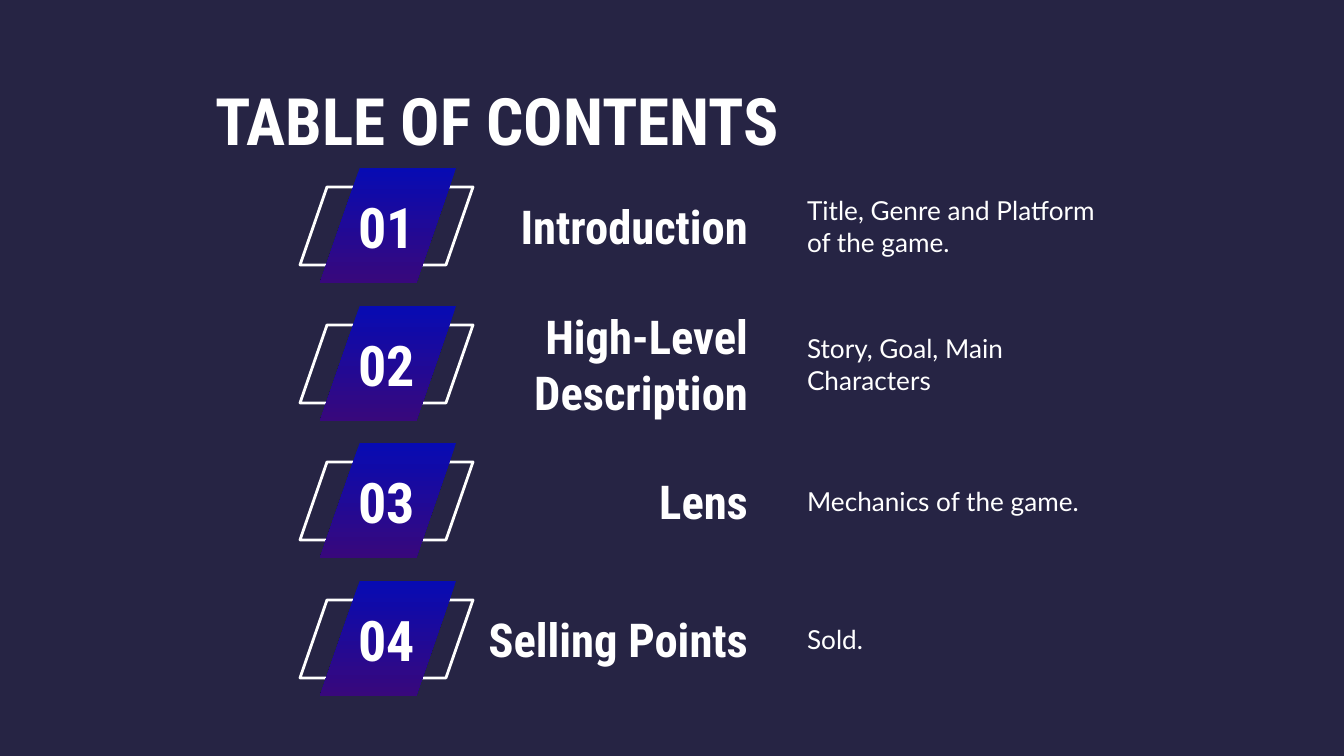
from dataclasses import dataclass

from pptx import Presentation
from pptx import util as u
from pptx.dml.color import RGBColor
from pptx.enum import shapes, text

EMU_PER_PX = 914400 / 134.4
SLIDE_SIZE = (1344, 756)
FIRST_ROW_TOP = 168
ROWS_SPAN = 413  # from the first row's top to the last row's top
SLANT = 0.346
INSET = 13

SECTIONS = [
    ("Introduction", "Title, Genre and Platform of the game."),
    ("High-Level Description", "Story, Goal, Main Characters"),
    ("Lens", "Mechanics of the game."),
    ("Selling Points", "Sold."),
]


@dataclass(frozen=True)
class Theme:
    background: RGBColor = RGBColor.from_string("262444")
    foreground: RGBColor = RGBColor.from_string("FFFFFF")
    badge_top: RGBColor = RGBColor.from_string("070BB3")
    badge_bottom: RGBColor = RGBColor.from_string("38087C")
    heading_font: str = "Roboto Condensed"
    body_font: str = "Lato"
    title_size: int = 35
    number_size: int = 30
    heading_size: int = 25
    body_size: int = 14
    outline_width: float = 1.5


THEME = Theme()


def px(length):
    return u.Emu(round(length * EMU_PER_PX))


def write(shape, content, size, align, heading=True):
    """Fill a shape with one vertically centred paragraph."""
    frame = shape.text_frame
    frame.word_wrap = True
    frame.auto_size = text.MSO_AUTO_SIZE.NONE
    frame.vertical_anchor = text.MSO_ANCHOR.MIDDLE
    frame.margin_left = frame.margin_right = px(INSET)
    frame.margin_top = frame.margin_bottom = px(INSET)
    frame.text = content
    paragraph = frame.paragraphs[0]
    paragraph.alignment = align
    font = paragraph.font
    font.name = THEME.heading_font if heading else THEME.body_font
    font.size = u.Pt(size)
    font.bold = heading
    font.color.rgb = THEME.foreground


def add_title(slide, content):
    title = slide.shapes.title
    title.left, title.top, title.width, title.height = map(px, (202, 77, 1038, 85))
    write(title, content, THEME.title_size, text.PP_ALIGN.LEFT)


def add_text(slide, box, content, size, align, heading=True):
    write(slide.shapes.add_textbox(*map(px, box)), content, size, align, heading)


def add_parallelogram(slide, box):
    shape = slide.shapes.add_shape(shapes.MSO_SHAPE.PARALLELOGRAM, *map(px, box))
    shape.adjustments[0] = SLANT
    shape.shadow.inherit = False
    return shape


def add_badge(slide, top, number):
    frame = add_parallelogram(slide, (300, top + 19, 173, 78))
    frame.fill.background()
    frame.line.color.rgb = THEME.foreground
    frame.line.width = u.Pt(THEME.outline_width)

    card = add_parallelogram(slide, (320, top, 136, 115))
    card.line.fill.background()
    card.fill.gradient()
    card.fill.gradient_angle = 270  # counter-clockwise: top to bottom
    colors = (THEME.badge_top, THEME.badge_bottom)
    for stop, color in zip(card.fill.gradient_stops, colors):
        stop.color.rgb = color

    add_text(slide, (309, top + 31, 156, 54), f"{number:02d}",
             THEME.number_size, text.PP_ALIGN.CENTER)


def add_section(slide, top, number, heading, description):
    add_badge(slide, top, number)
    add_text(slide, (465, top + 19, 296, 78), heading,
             THEME.heading_size, text.PP_ALIGN.RIGHT)
    add_text(slide, (794, top + 19, 344, 78), description,
             THEME.body_size, text.PP_ALIGN.LEFT, heading=False)


def main():
    presentation = Presentation()
    presentation.slide_width, presentation.slide_height = map(px, SLIDE_SIZE)
    slide = presentation.slides.add_slide(presentation.slide_layouts[5])
    slide.background.fill.solid()
    slide.background.fill.fore_color.rgb = THEME.background

    add_title(slide, "TABLE OF CONTENTS")
    pitch = ROWS_SPAN / (len(SECTIONS) - 1)
    for index, (heading, description) in enumerate(SECTIONS):
        top = round(FIRST_ROW_TOP + index * pitch)
        add_section(slide, top, index + 1, heading, description)

    presentation.save("out.pptx")


if __name__ == "__main__":
    main()
